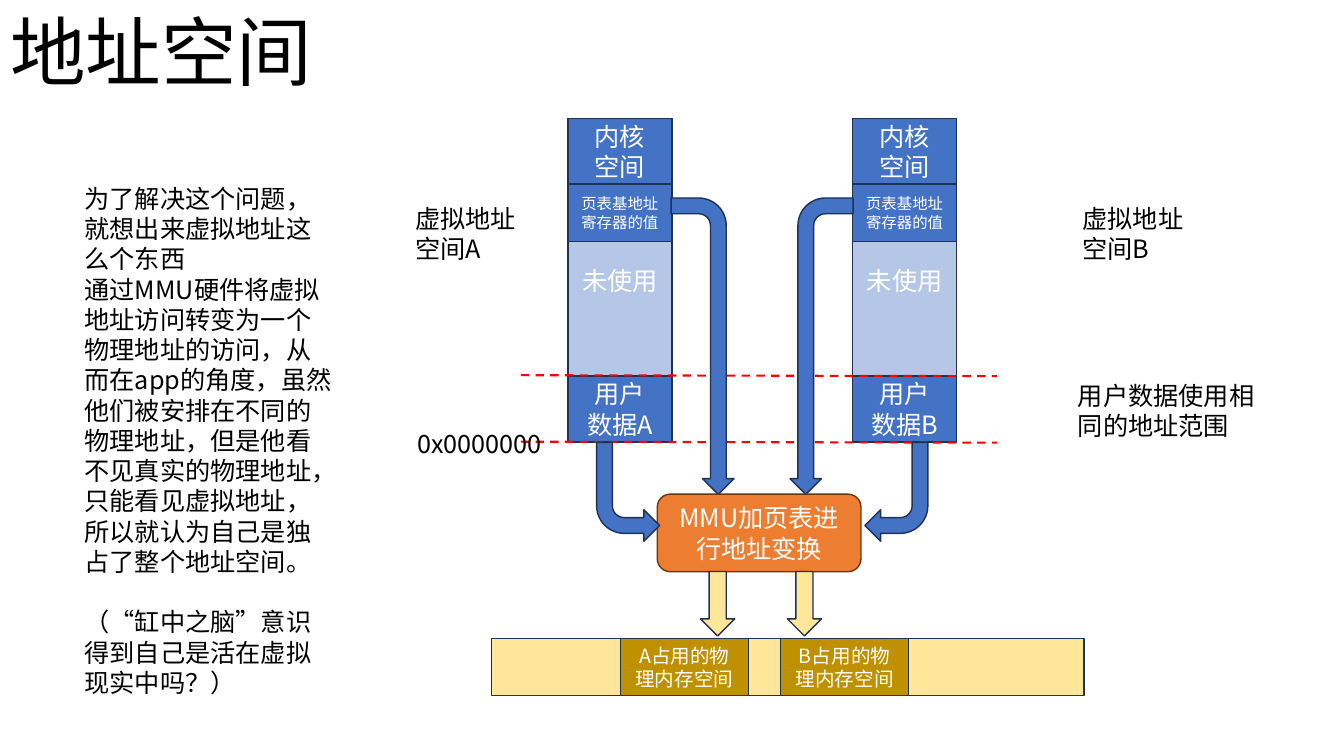
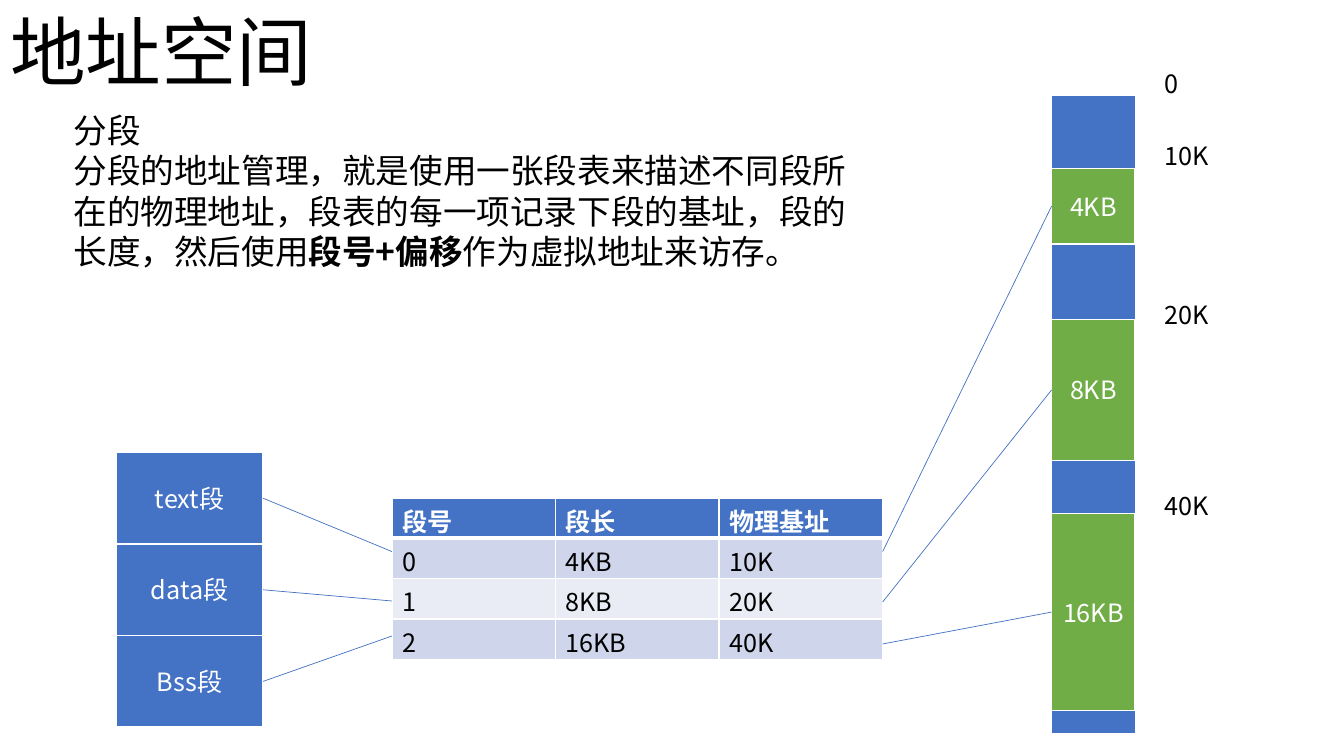
from pptx import Presentation
from pptx.dml.color import RGBColor
from pptx.enum.dml import MSO_LINE
from pptx.enum.shapes import MSO_CONNECTOR, MSO_SHAPE
from pptx.enum.text import MSO_ANCHOR, MSO_AUTO_SIZE, PP_ALIGN
from pptx.oxml.ns import qn
from pptx.util import Pt
from lxml import etree

RECT, ROUND = MSO_SHAPE.RECTANGLE, MSO_SHAPE.ROUNDED_RECTANGLE
BENT, ARROW = MSO_SHAPE.BENT_ARROW, MSO_SHAPE.RIGHT_ARROW
LINE, DASH = MSO_CONNECTOR.STRAIGHT, MSO_LINE.DASH
TOP, MID = MSO_ANCHOR.TOP, MSO_ANCHOR.MIDDLE
LEFT, MIDDLE = PP_ALIGN.LEFT, PP_ALIGN.CENTER
NO_FIT = MSO_AUTO_SIZE.NONE
FONT = "Noto Sans CJK SC"
LEAD = 1.2
HEX = {
    "black": "000000", "white": "FFFFFF", "red": "FF0000",
    "blue": "4472C4", "pale": "B4C7E7", "navy": "1E3256",
    "orange": "ED7D31", "brown": "683715", "green": "70AD47",
    "cream": "FFE699", "gold": "BF9000",
    "band": "CFD5EA", "light": "E9EBF5",
}
RGB = {name: RGBColor.from_string(code) for name, code in HEX.items()}


def write(frame, text, size=18, color="black", align=LEFT, anchor=TOP,
          bold=False, wrap=True, gap=0):
    """Fill a frame: ** toggles bold, gap is the space before the last paragraph."""
    frame.word_wrap = wrap
    frame.auto_size = NO_FIT
    frame.vertical_anchor = anchor
    frame.text = text
    for para, words in zip(frame.paragraphs, text.split("\n")):
        para.clear()
        para.alignment = align
        para.line_spacing = Pt(size * LEAD)
        para.space_before = Pt(0)
        for i, part in enumerate(words.split("**")):
            run = para.add_run()
            run.text = part
            font = run.font
            font.size, font.name = Pt(size), FONT
            font.bold = bold or i % 2 == 1
            font.color.rgb = RGB[color]
            east = etree.SubElement(font._element, qn("a:ea"))
            east.set("typeface", FONT)
    if gap:
        para.space_before = Pt(gap)


def add(slide, kind, box, fill=None, line="navy", width=1, dash=None,
        turn=0, flip="", text="", **style):
    """Add a text box (kind None), a line (box holds both ends) or a shape."""
    box = [Pt(n) for n in box]
    if kind is None:
        write(slide.shapes.add_textbox(*box).text_frame, text, **style)
        return
    if kind == LINE and fill is None:
        item = slide.shapes.add_connector(LINE, *box)
    else:
        item = slide.shapes.add_shape(kind, *box)
        item.fill.solid()
        item.fill.fore_color.rgb = RGB[fill]
        item.rotation = turn
        for axis in flip:
            item._element.spPr.find(qn("a:xfrm")).set("flip" + axis, "1")
        if text:
            style = {"color": "white", "align": MIDDLE, "anchor": MID, **style}
            write(item.text_frame, text, **style)
    item.line.color.rgb = RGB[line]
    item.line.width = Pt(width)
    if dash:
        item.line.dash_style = dash
    etree.SubElement(item._element.spPr, qn("a:effectLst"))


deck = Presentation()
deck.slide_width, deck.slide_height = Pt(960), Pt(540)
slides = []
for _ in range(2):
    slide = deck.slides.add_slide(deck.slide_layouts[5])
    title = slide.shapes.title
    title.left, title.top, title.width, title.height = Pt(0), Pt(0), Pt(232.6), Pt(72.7)
    write(title.text_frame, "地址空间", size=54, wrap=False)
    slides.append(slide)
space, segment = slides

# Virtual address spaces
add(space, None, (53.3, 127.4, 193.8, 378), gap=21.6, text=(
    "为了解决这个问题，就想出来虚拟地址这么个东西\n"
    "通过MMU硬件将虚拟地址访问转变为一个物理地址的访问，从而在app的角度，"
    "虽然他们被安排在不同的物理地址，但是他看不见真实的物理地址，"
    "只能看见虚拟地址，所以就认为自己是独占了整个地址空间。\n"
    "（“缸中之脑”意识得到自己是活在虚拟现实中吗？）"))
for x, name in ((405.6, "A"), (609, "B")):
    for y, high, fill, size, text in (
            (84.8, 231, "pale", 18, "未使用"),
            (84.8, 46.8, "blue", 18, "内核\n空间"),
            (268.6, 46.8, "blue", 18, "用户\n数据" + name),
            (131.4, 41, "blue", 11, "页表基地址寄存器的值")):
        add(space, RECT, (x, y, 74.4, high), fill, text=text, size=size)
for y in (268, 315.5):
    add(space, LINE, (372, y, 712, y + 0.7), line="red", width=1.5, dash=DASH)
for x, y, wide, text in (
        (291, 302.4, 112, "0x0000000"),
        (762.8, 267.8, 147.6, "用户数据使用相同的地址范围"),
        (289.4, 141.8, 92.2, "虚拟地址空间A"),
        (766.2, 141.8, 92.2, "虚拟地址空间B")):
    add(space, None, (x, y, wide, 51), text=text)

# Translation into physical memory
add(space, BENT, (396, 224.8, 211.7, 45), "blue", turn=90)
add(space, BENT, (481, 224.8, 211.7, 45), "blue", turn=90, flip="V")
add(space, ROUND, (469.5, 353, 145.5, 55.4), "orange", "brown",
    text="MMU加页表进行地址变换")
add(space, BENT, (426.2, 316, 45, 70.6), "blue", flip="V")
add(space, BENT, (617.8, 316, 45, 70.6), "blue", flip="HV")
for x in (489.6, 551.6):
    add(space, ARROW, (x, 419, 46, 24.5), "cream", turn=90)
add(space, RECT, (351, 456, 423.4, 41), "cream")
for x, name in ((443.2, "A"), (557.7, "B")):
    add(space, RECT, (x, 456, 91.4, 41), "gold", size=14,
        text=name + "占用的物理内存空间")

# Segment table
add(segment, None, (45.4, 75, 573.8, 124), size=24, text=(
    "分段\n分段的地址管理，就是使用一张段表来描述不同段所在的物理地址，"
    "段表的每一项记录下段的基址，段的长度，然后使用**段号+偏移**作为虚拟地址来访存。"))
rows = (("段号", "段长", "物理基址"), ("0", "4KB", "10K"),
        ("1", "8KB", "20K"), ("2", "16KB", "40K"))
grid = segment.shapes.add_table(
    4, 3, Pt(280), Pt(355.7), Pt(350.4), Pt(115.2)).table
for r, row in enumerate(rows):
    for c, text in enumerate(row):
        cell = grid.cell(r, c)
        cell.margin_top, cell.margin_bottom = Pt(7.2), Pt(0)
        cell.fill.solid()
        cell.fill.fore_color.rgb = RGB[("blue", "band", "light", "band")[r]]
        write(cell.text_frame, text, color="black" if r else "white", bold=r == 0)
        if r == 0:
            edge = etree.Element(qn("a:lnB"), w=str(Pt(3)))
            paint = etree.SubElement(edge, qn("a:solidFill"))
            etree.SubElement(paint, qn("a:srgbClr"), val=HEX["white"])
            cell._tc.tcPr.insert(0, edge)

# Segments and the memory they map to
add(segment, RECT, (751, 68.4, 60.5, 455.8), "blue", "white")
for i, (name, near, far, y, high) in enumerate((
        ("text段", 394, 394, 120.2, 54),
        ("data段", 429.3, 430, 228.2, 100.6),
        ("Bss段", 454.3, 460, 367, 140.4))):
    top = 323.2 + i * 65.4
    add(segment, RECT, (83, top, 105, 65.4), "blue", "white", text=name)
    add(segment, RECT, (751.2, y, 59.6, high), "green", "white", text=rows[i + 1][1])
    for ends in ((188, top + 32.7, 280, near), (630.5, far, 751.2, y + high / 2)):
        add(segment, LINE, ends, line="blue", width=0.5)
for y, text in ((45.6, "0"), (96.5, "10K"), (210.2, "20K"), (347, "40K")):
    add(segment, None, (825, y, 77.8, 28.8), text=text)

deck.save("out.pptx")
